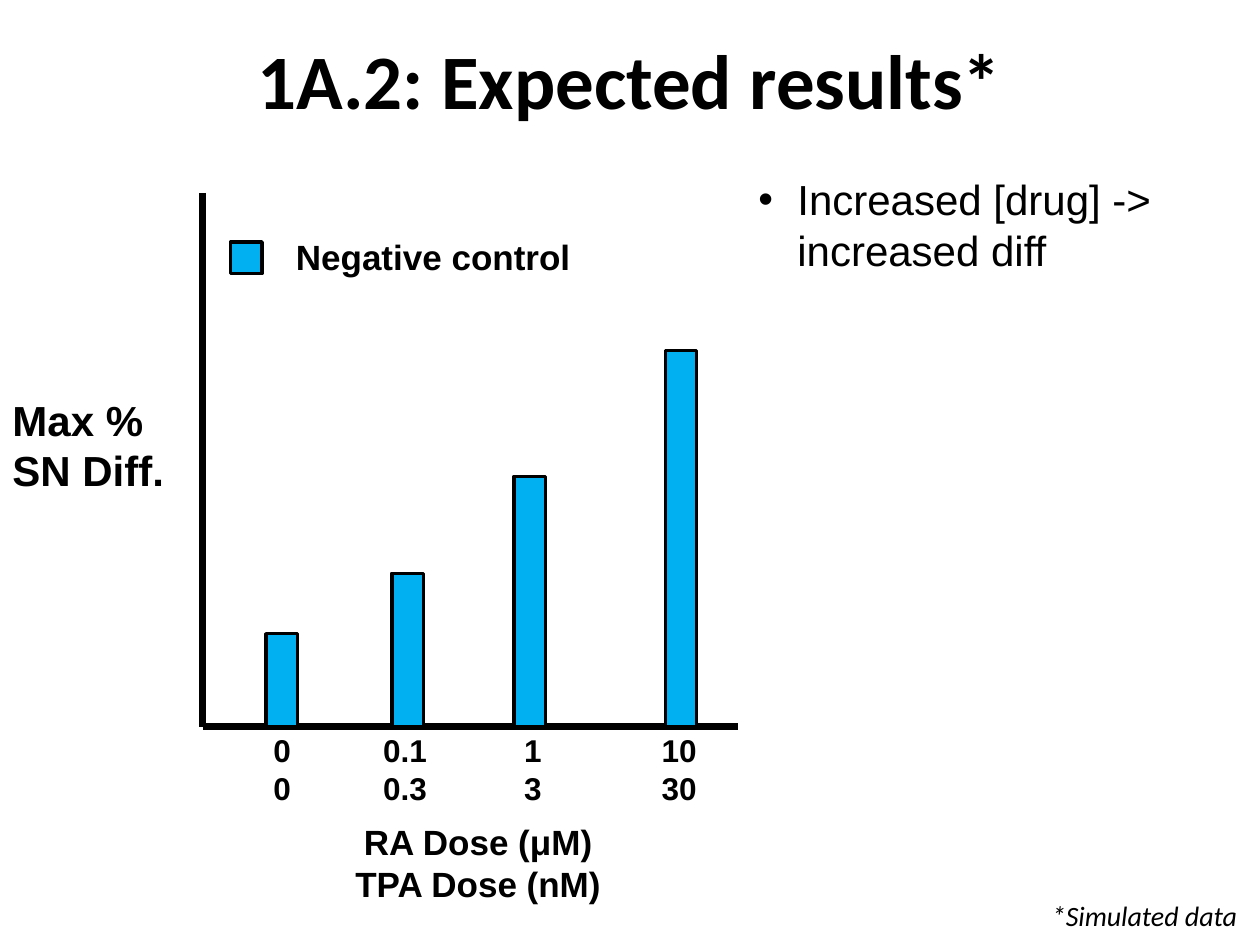
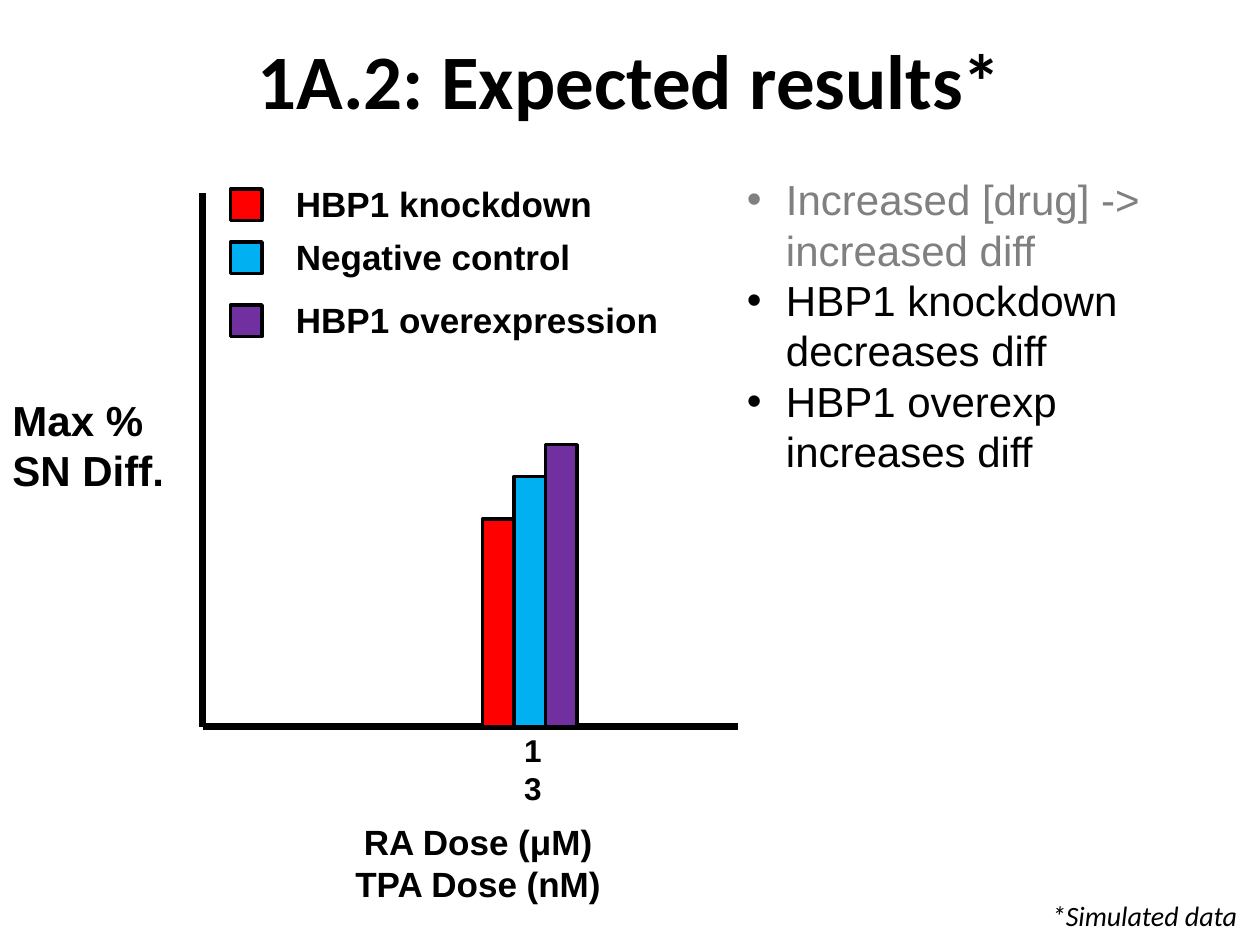
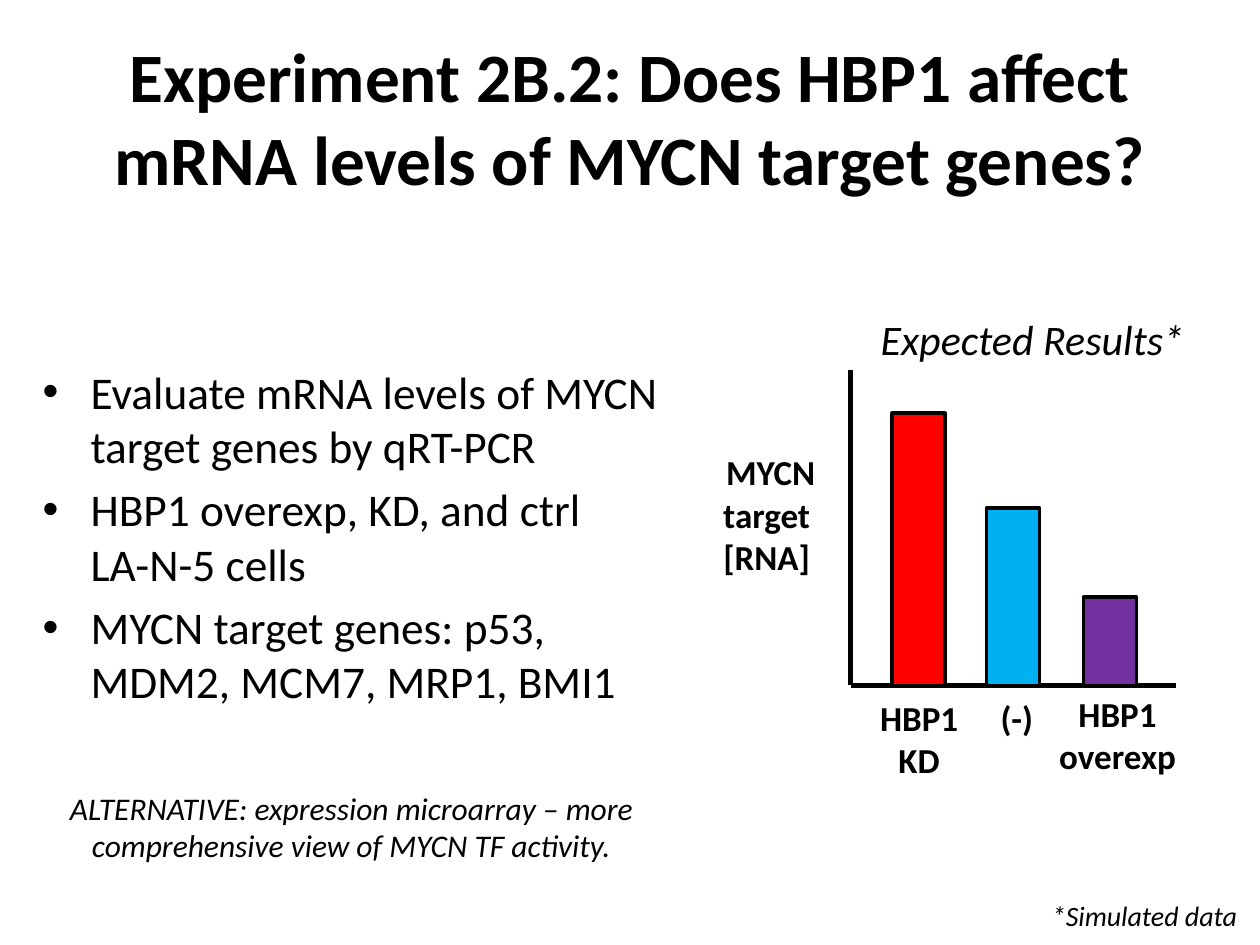
from dataclasses import dataclass

from lxml import etree
from pptx import Presentation
from pptx import util as u
from pptx.dml.color import RGBColor
from pptx.enum import shapes, text
from pptx.oxml.ns import qn

EMU_PER_PX = u.Inches(1) // 100
TITLE_ONLY = 5


@dataclass(frozen=True)
class Type:
    font: str
    size: float
    bold: bool = False
    italic: bool = False


class Theme:
    ink = "000000"
    faded = "808080"
    paper = "FFFFFF"
    knockdown = "FF0000"
    control = "00B0F0"
    overexpression = "7030A0"

    title = Type("Calibri", 44, bold=True)
    long_title = Type("Calibri", 39.6, bold=True)
    axis_title = Type("Arial", 24, bold=True)
    dose_title = Type("Arial", 20, bold=True)
    legend = Type("Arial", 20, bold=True)
    tick = Type("Arial", 18, bold=True)
    finding = Type("Arial", 24)
    method = Type("Calibri", 25.9)
    category = Type("Calibri", 20, bold=True)
    chart_title = Type("Calibri", 24, italic=True)
    alternative = Type("Calibri", 18, italic=True)
    footnote = Type("Calibri", 16, italic=True)

    outline = 2


def px(*lengths):
    return [u.Emu(length * EMU_PER_PX) for length in lengths]


def rgb(colour):
    return RGBColor.from_string(colour)


def format_runs(paragraph, style, colour):
    for run in paragraph.runs:
        font = run.font
        font.name, font.size = style.font, u.Pt(style.size)
        font.bold, font.italic = style.bold, style.italic
        font.color.rgb = rgb(colour)


class Deck:
    def __init__(self, theme):
        self.theme = theme
        self.presentation = Presentation()
        self.presentation.slide_width, self.presentation.slide_height = px(1000, 750)
        self.slide = None

    def new_slide(self, title, style, top=0):
        """Start a slide with its title and the footnote all slides share."""
        layout = self.presentation.slide_layouts[TITLE_ONLY]
        self.slide = self.presentation.slides.add_slide(layout)
        self.slide.background.fill.solid()
        self.slide.background.fill.fore_color.rgb = rgb(self.theme.paper)
        heading = self.slide.shapes.title
        heading.left, heading.top, heading.width, heading.height = px(50, top, 900, 125)
        frame = heading.text_frame
        frame.text = title
        frame.word_wrap = True
        frame.auto_size = text.MSO_AUTO_SIZE.NONE
        frame.vertical_anchor = text.MSO_ANCHOR.MIDDLE
        frame.paragraphs[0].alignment = text.PP_ALIGN.CENTER
        format_runs(frame.paragraphs[0], style, self.theme.ink)
        self.label("*Simulated data", (825, 708, 169, 37), self.theme.footnote)

    def label(self, words, box, style, centred=False, wrap=False):
        frame = self.slide.shapes.add_textbox(*px(*box)).text_frame
        frame.text = words
        frame.word_wrap = wrap
        frame.auto_size = text.MSO_AUTO_SIZE.SHAPE_TO_FIT_TEXT
        for paragraph in frame.paragraphs:
            paragraph.alignment = text.PP_ALIGN.CENTER if centred else text.PP_ALIGN.LEFT
            format_runs(paragraph, style, self.theme.ink)
        return frame

    def bullets(self, items, box, style, indent, gap=0, faded=0):
        """Write a bulleted list whose first `faded` items are greyed."""
        frame = self.label("\n".join(items), box, style, wrap=True)
        for index, paragraph in enumerate(frame.paragraphs):
            paragraph.space_before = u.Pt(gap)
            if index < faded:
                format_runs(paragraph, style, self.theme.faded)
            properties = paragraph._p.get_or_add_pPr()
            hang = indent * EMU_PER_PX
            properties.set("marL", str(hang))
            properties.set("indent", str(-hang))
            etree.SubElement(properties, qn("a:buFont")).set("typeface", "Arial")
            etree.SubElement(properties, qn("a:buChar")).set("char", "•")

    def line(self, start, end, weight):
        connector = self.slide.shapes.add_connector(
            shapes.MSO_CONNECTOR.STRAIGHT, *px(*start, *end))
        connector.line.color.rgb = rgb(self.theme.ink)
        connector.line.width = u.Pt(weight)
        etree.SubElement(connector._element.spPr, qn("a:effectLst"))

    def axes(self, left, top, right, baseline, weight):
        self.line((left, top), (left, baseline), weight)
        self.line((left, baseline), (right, baseline), weight)

    def block(self, box, colour):
        rectangle = self.slide.shapes.add_shape(shapes.MSO_SHAPE.RECTANGLE, *px(*box))
        rectangle.shadow.inherit = False
        rectangle.fill.solid()
        rectangle.fill.fore_color.rgb = rgb(colour)
        rectangle.line.color.rgb = rgb(self.theme.ink)
        rectangle.line.width = u.Pt(self.theme.outline)

    def bar(self, left, height, width, baseline, colour):
        self.block((left, baseline - height, width, height), colour)

    def legend_entry(self, words, top, width, colour):
        self.block((183, top, 25, 25), colour)
        self.label(words, (225, top - 10, width, 44), self.theme.legend)


DOSE_BASELINE = 577
DOSE_BAR_WIDTH = 25


def dose_slide(deck, bars, ticks, legend):
    """Add a dose-response slide.

    bars: (left, height, colour); ticks: (words, left, width);
    legend: (words, top, width, colour).
    """
    theme = deck.theme
    deck.new_slide("1A.2: Expected results*", theme.title)
    deck.axes(161, 153, 586, DOSE_BASELINE, 4)
    for left, height, colour in bars:
        deck.bar(left, height, DOSE_BAR_WIDTH, DOSE_BASELINE, colour)
    for entry in legend:
        deck.legend_entry(*entry)
    for words, left, width in ticks:
        deck.label(words, (left, 575, width, 71), theme.tick, centred=True)
    deck.label("Max %\nSN Diff.", (0, 308, 142, 91), theme.axis_title)
    deck.label("RA Dose (μM)\nTPA Dose (nM)", (271, 646, 217, 77),
               theme.dose_title, centred=True)


def target_gene_slide(deck):
    theme = deck.theme
    deck.new_slide("Experiment 2B.2: Does HBP1 affect mRNA levels of MYCN target genes?",
                   theme.long_title, top=30)
    deck.bullets(["Evaluate mRNA levels of MYCN target genes by qRT-PCR",
                  "HBP1 overexp, KD, and ctrl\vLA-N-5 cells",
                  "MYCN target genes: p53, MDM2, MCM7, MRP1, BMI1"],
                 (24, 284, 518, 308), theme.method, indent=38, gap=5)
    baseline = 544
    deck.axes(675, 294, 933, baseline, 3)
    for left, height, colour in ((708, 216, theme.knockdown),
                                 (783, 141, theme.control),
                                 (860, 70, theme.overexpression)):
        deck.bar(left, height, 42, baseline, colour)
    for words, box in (("HBP1\nKD", (688, 548, 83, 77)),
                       ("(-)", (784, 548, 46, 44)),
                       ("HBP1\noverexp", (830, 545, 114, 77))):
        deck.label(words, box, theme.category, centred=True)
    deck.label(" MYCN target [RNA]", (542, 353, 133, 111), theme.category,
               centred=True, wrap=True)
    deck.label("Expected Results*", (689, 244, 264, 50), theme.chart_title)
    deck.label("ALTERNATIVE: expression microarray – more comprehensive view of "
               "MYCN TF activity.", (0, 621, 558, 71), theme.alternative,
               centred=True, wrap=True)


def main():
    theme = Theme()
    deck = Deck(theme)
    drug_finding = "Increased [drug] -> increased diff"
    control_entry = ("Negative control", 192, 240, theme.control)
    middle_bar = (408, 199, theme.control)
    middle_tick = ("1\n3", 406, 34)

    dose_slide(
        deck,
        bars=[(211, 74, theme.control), (311, 122, theme.control),
              middle_bar, (528, 299, theme.control)],
        ticks=[("0\n0", 207, 34), ("0.1\n0.3", 294, 55),
               middle_tick, ("10\n30", 515, 48)],
        legend=[control_entry])
    deck.bullets([drug_finding], (592, 133, 408, 91), theme.finding, indent=31)

    dose_slide(
        deck,
        bars=[(383, 165, theme.knockdown), middle_bar,
              (433, 224, theme.overexpression)],
        ticks=[middle_tick],
        legend=[("HBP1 knockdown", 150, 257, theme.knockdown), control_entry,
                ("HBP1 overexpression", 242, 310, theme.overexpression)])
    deck.bullets([drug_finding, "HBP1 knockdown decreases diff",
                  "HBP1 overexp increases diff"],
                 (583, 133, 417, 252), theme.finding, indent=31, faded=1)

    target_gene_slide(deck)
    deck.presentation.save("out.pptx")


if __name__ == "__main__":
    main()
